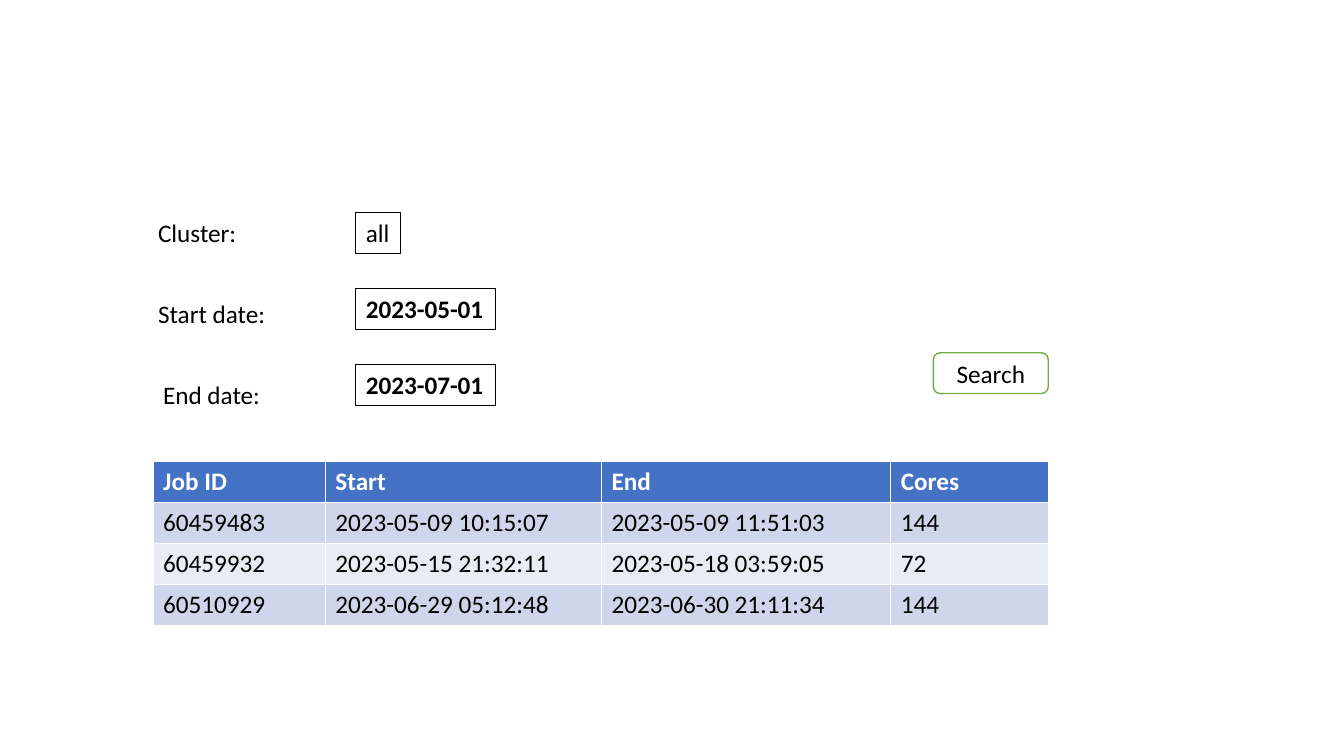
"""Build a job search form with a table of results."""
from pptx import Presentation
from pptx.dml.color import RGBColor
from pptx.enum.shapes import MSO_SHAPE
from pptx.enum.text import MSO_ANCHOR, MSO_AUTO_SIZE, PP_ALIGN
from pptx.util import Pt

RECT, ROUND = MSO_SHAPE.RECTANGLE, MSO_SHAPE.ROUNDED_RECTANGLE
TOP, MIDDLE = MSO_ANCHOR.TOP, MSO_ANCHOR.MIDDLE
LEFT, CENTER = PP_ALIGN.LEFT, PP_ALIGN.CENTER
GROW = MSO_AUTO_SIZE.SHAPE_TO_FIT_TEXT

BLACK = RGBColor(0x00, 0x00, 0x00)
WHITE = RGBColor(0xFF, 0xFF, 0xFF)
GREEN = RGBColor(0x70, 0xAD, 0x47)
BLUE = RGBColor(0x44, 0x72, 0xC4)
BANDS = [RGBColor(0xE9, 0xEB, 0xF5), RGBColor(0xCF, 0xD5, 0xEA)]

FIELDS = [
    ("Cluster:", 105.8, 71.3, "all", 31.7, False),
    ("Start date:", 105.8, 92.2, "2023-05-01", 99.4, True),
    ("End date:", 109.4, 85, "2023-07-01", 99.4, True),
]
JOBS = [
    ("Job ID", "Start", "End", "Cores"),
    ("60459483", "2023-05-09 10:15:07", "2023-05-09 11:51:03", "144"),
    ("60459932", "2023-05-15 21:32:11", "2023-05-18 03:59:05", "72"),
    ("60510929", "2023-06-29 05:12:48", "2023-06-30 21:11:34", "144"),
]
COL_WIDTHS = [123, 197.3, 206.6, 113]

FORM_TOP, LABEL_STEP, BOX_STEP = 151.9, 57.6, 54.3
BOX_LEFT, BOX_HEIGHT = 254.2, 29.1
TABLE_LEFT, TABLE_TOP, ROW_HEIGHT = 109.4, 329.8, 29.2


def write(tf, text, color=BLACK, bold=False, align=LEFT):
    p = tf.paragraphs[0]
    p.alignment = align
    r = p.add_run()
    r.text = text
    r.font.name, r.font.size = "Calibri", Pt(18)
    r.font.bold, r.font.color.rgb = bold, color


def add_label(s, text, x, y, w):
    tf = s.shapes.add_textbox(Pt(x), Pt(y), Pt(w), Pt(BOX_HEIGHT)).text_frame
    tf.word_wrap, tf.auto_size = False, GROW
    write(tf, text)


def add_box(s, kind, x, y, w, line, weight):
    sp = s.shapes.add_shape(kind, Pt(x), Pt(y), Pt(w), Pt(BOX_HEIGHT))
    sp.shadow.inherit = False
    sp.fill.solid()
    sp.fill.fore_color.rgb = WHITE
    sp.line.color.rgb, sp.line.width = line, Pt(weight)
    return sp.text_frame


def add_jobs(s):
    table = s.shapes.add_table(
        len(JOBS), len(COL_WIDTHS), Pt(TABLE_LEFT), Pt(TABLE_TOP),
        Pt(sum(COL_WIDTHS)), Pt(ROW_HEIGHT * len(JOBS))).table
    for col, width in zip(table.columns, COL_WIDTHS):
        col.width = Pt(width)
    for i, job in enumerate(JOBS):
        table.rows[i].height = Pt(ROW_HEIGHT)
        header = i == 0
        for j, text in enumerate(job):
            cell = table.cell(i, j)
            cell.fill.solid()
            cell.fill.fore_color.rgb = BLUE if header else BANDS[i % 2]
            write(cell.text_frame, text, WHITE if header else BLACK, header)


prs = Presentation()
prs.slide_width, prs.slide_height = Pt(960), Pt(540)
s = prs.slides.add_slide(prs.slide_layouts[6])

for i, (label, x, label_width, value, box_width, bold) in enumerate(FIELDS):
    add_label(s, label, x, FORM_TOP + i * LABEL_STEP, label_width)
    tf = add_box(s, RECT, BOX_LEFT, FORM_TOP + i * BOX_STEP, box_width, BLACK, 0.75)
    tf.word_wrap, tf.auto_size, tf.vertical_anchor = False, GROW, TOP
    write(tf, value, bold=bold)

tf = add_box(s, ROUND, 666.7, 252, 82.1, GREEN, 1)
tf.vertical_anchor = MIDDLE
write(tf, "Search", align=CENTER)
add_jobs(s)

prs.save("out.pptx")
